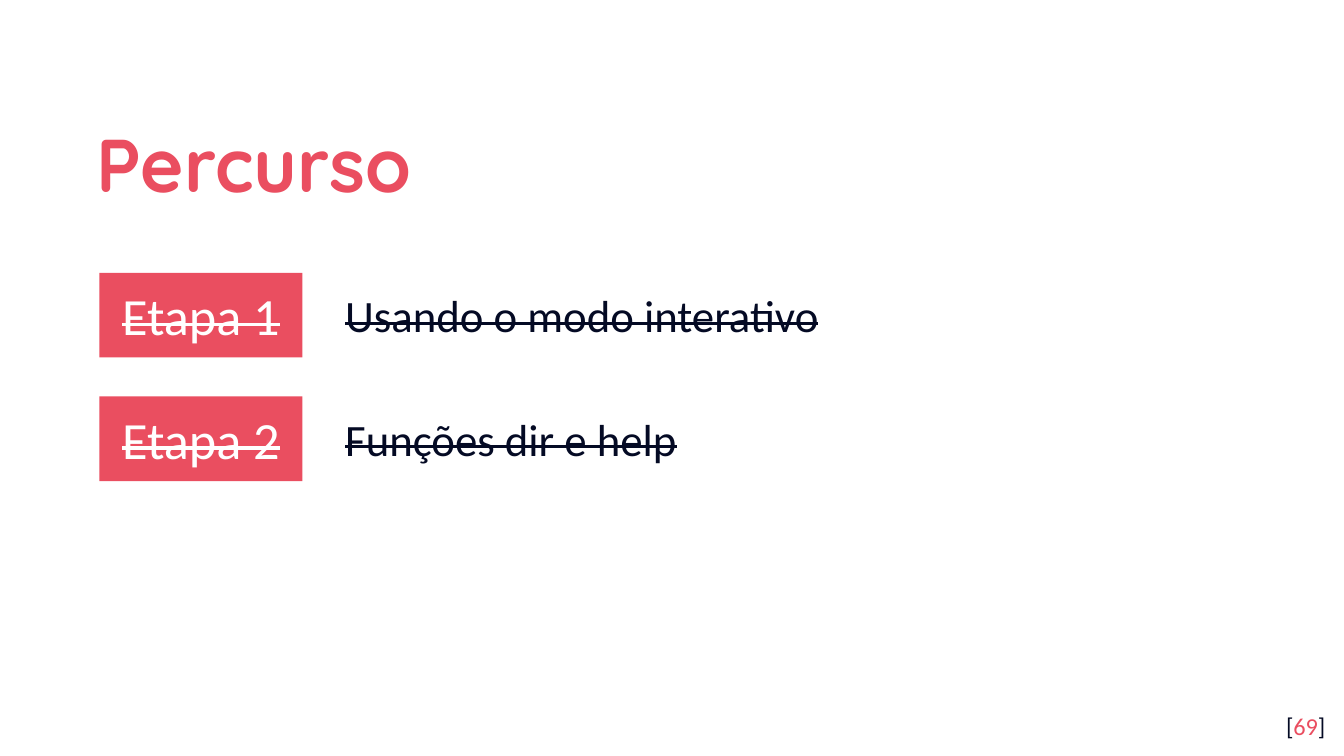
import pptx
import pptx.util
import pptx.dml.color
import pptx.enum.shapes
import pptx.enum.text
from dataclasses import dataclass

Inches = pptx.util.Inches
Align = pptx.enum.text.PP_ALIGN
Anchor = pptx.enum.text.MSO_ANCHOR

TITLE = "Percurso"
STAGES = [
    ("Etapa 1", "Usando o modo interativo"),
    ("Etapa 2", "Funções dir e help"),
]
PAGE_NUMBER = "69"


@dataclass(frozen=True)
class Theme:
    accent: str = "EA4E60"
    ink: str = "040A24"
    paper: str = "FFFFFF"
    heading_font: str = "Quicksand"
    body_font: str = "Calibri"
    title_size: int = 40
    stage_size: int = 28
    topic_size: int = 24
    page_size: int = 13


THEME = Theme()

SLIDE_WIDTH = 10
SLIDE_HEIGHT = SLIDE_WIDTH * 9 / 16
STAGE_LEFT, STAGE_TOP, STAGE_PITCH = 0.74, 2.03, 0.92
STAGE_WIDTH, STAGE_HEIGHT = 1.51, 0.63
TOPIC_LEFT, TOPIC_WIDTH, TOPIC_HEIGHT = 2.47, 6.75, 0.5
HANGING_INDENT = 0.5


def rgb(color):
    return pptx.dml.color.RGBColor.from_string(color)


def write(shape, text, *, size, color=THEME.ink, font=THEME.body_font,
          bold=False, strike=False, align=Align.LEFT, anchor=Anchor.TOP,
          inset_y=0.1, line_spacing=None, hanging=0):
    """Fill a shape with one paragraph; text is a string or (text, color) pairs."""
    frame = shape.text_frame
    frame.word_wrap = True
    frame.auto_size = pptx.enum.text.MSO_AUTO_SIZE.NONE
    frame.vertical_anchor = anchor
    frame.margin_left = frame.margin_right = Inches(0.1)
    frame.margin_top = frame.margin_bottom = Inches(inset_y)
    paragraph = frame.paragraphs[0]
    paragraph.alignment = align
    if line_spacing:
        paragraph.line_spacing = line_spacing
    if hanging:
        properties = paragraph._p.get_or_add_pPr()
        properties.set("marL", str(Inches(hanging)))
        properties.set("indent", str(-Inches(hanging)))
    parts = [(text, color)] if isinstance(text, str) else text
    for part, part_color in parts:
        run = paragraph.add_run()
        run.text = part
        run.font.name = font
        run.font.size = pptx.util.Pt(size)
        run.font.bold = bold
        run.font.color.rgb = rgb(part_color)
        if strike:
            run._r.get_or_add_rPr().set("strike", "sngStrike")


def box(left, top, width, height):
    return [Inches(value) for value in (left, top, width, height)]


def add_stage(slide, index, label, topic):
    top = STAGE_TOP + index * STAGE_PITCH
    badge = slide.shapes.add_shape(
        pptx.enum.shapes.MSO_SHAPE.RECTANGLE,
        *box(STAGE_LEFT, top, STAGE_WIDTH, STAGE_HEIGHT))
    badge.shadow.inherit = False
    badge.fill.solid()
    badge.fill.fore_color.rgb = rgb(THEME.accent)
    badge.line.fill.background()
    write(badge, label, size=THEME.stage_size, color=THEME.paper, strike=True,
          align=Align.CENTER, anchor=Anchor.MIDDLE)

    topic_top = top + (STAGE_HEIGHT - TOPIC_HEIGHT) / 2
    description = slide.shapes.add_textbox(
        *box(TOPIC_LEFT, topic_top, TOPIC_WIDTH, TOPIC_HEIGHT))
    write(description, topic, size=THEME.topic_size, strike=True,
          inset_y=0.05, hanging=HANGING_INDENT)


def main():
    deck = pptx.Presentation()
    deck.slide_width, deck.slide_height = Inches(SLIDE_WIDTH), Inches(SLIDE_HEIGHT)
    slide = deck.slides.add_slide(deck.slide_layouts[5])
    slide.background.fill.solid()
    slide.background.fill.fore_color.rgb = rgb(THEME.paper)

    title = slide.shapes.title
    title.left, title.top, title.width, title.height = box(0.62, 0.7, 8.1, 0.92)
    write(title, TITLE, size=THEME.title_size, color=THEME.accent,
          font=THEME.heading_font, bold=True, anchor=Anchor.MIDDLE,
          line_spacing=1.15)

    for index, (label, topic) in enumerate(STAGES):
        add_stage(slide, index, label, topic)

    page = slide.shapes.add_textbox(*box(9.36, 5.19, 0.6, 0.43))
    write(page, [("[", THEME.ink), (PAGE_NUMBER, THEME.accent), ("]", THEME.ink)],
          size=THEME.page_size, align=Align.RIGHT)

    deck.save("out.pptx")


if __name__ == "__main__":
    main()
